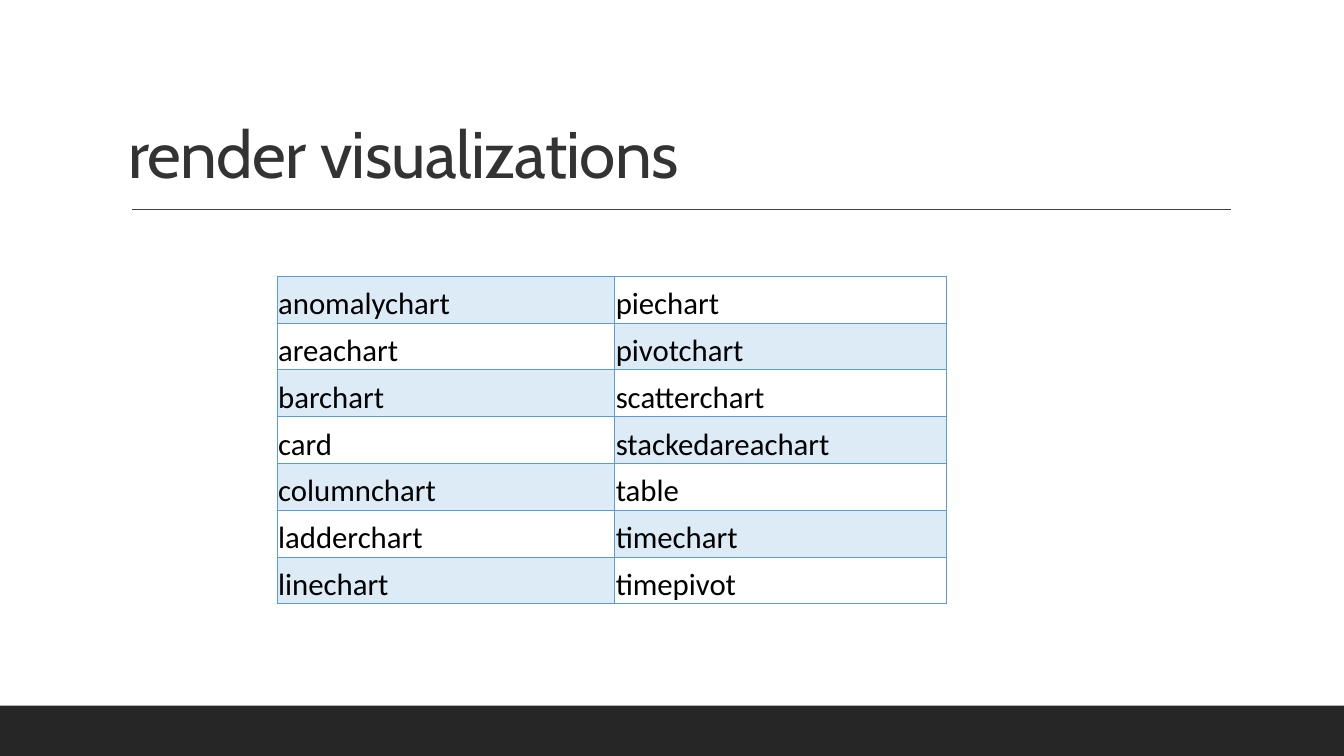
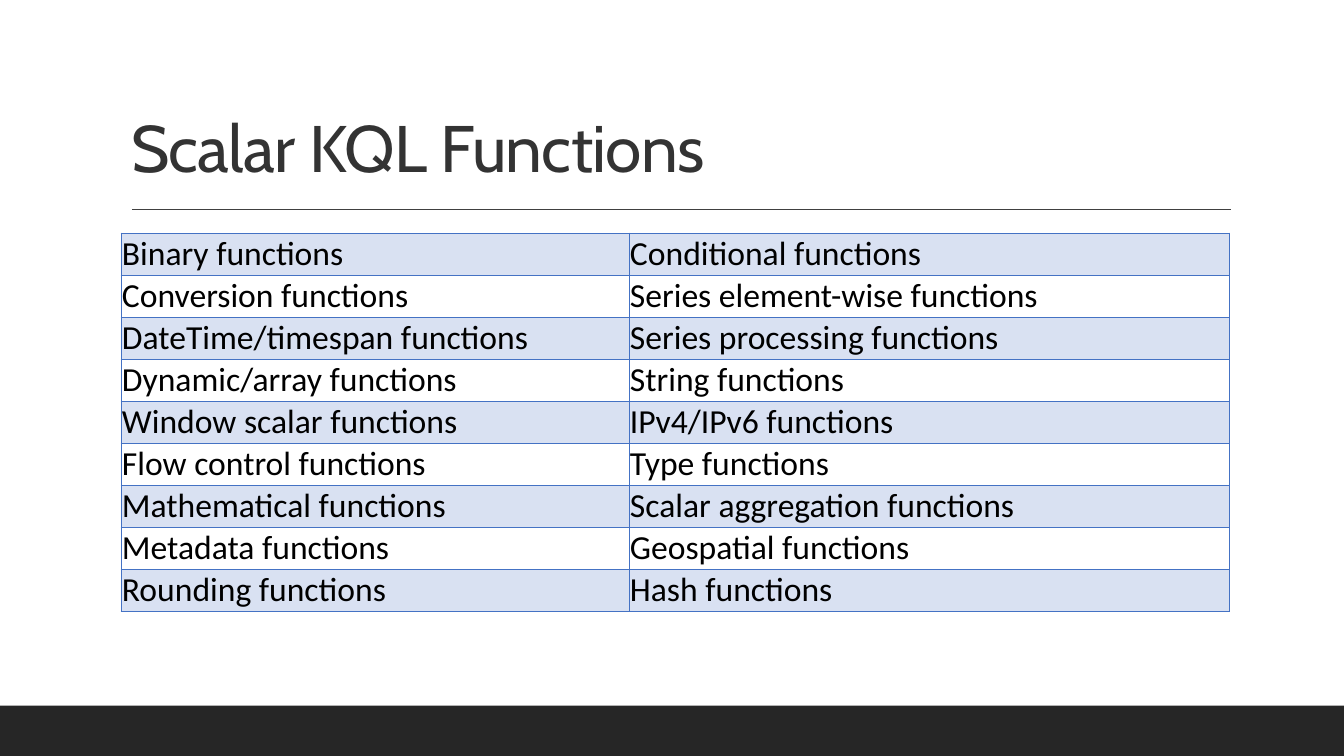
import pptx
import pptx.dml.color
import pptx.enum.shapes
import pptx.enum.text
import pptx.oxml
import pptx.oxml.ns
import pptx.util
from lxml import etree

TITLE_ONLY_LAYOUT = 5


def color(hex_string):
    return pptx.dml.color.RGBColor.from_string(hex_string)


def add_element(parent, tag, **attributes):
    return etree.SubElement(parent, pptx.oxml.ns.qn(tag), **attributes)


class Deck:
    """Style and current slide; lengths are on a grid of 100 columns by 100 rows."""

    title_font, body_font = "Cabin", "Calibri"
    title_color, text_color = "333333", "000000"
    band_color, rule_color = "262626", "404040"
    title_size = 47
    border_width = 0.5

    def __init__(self):
        self.presentation = pptx.Presentation()
        self.presentation.slide_width = pptx.util.Inches(13.33)
        self.presentation.slide_height = pptx.util.Inches(7.5)
        self.slide = None

    def columns(self, count):
        return round(self.presentation.slide_width * count / 100)

    def rows(self, count):
        return round(self.presentation.slide_height * count / 100)

    def add_slide(self):
        layout = self.presentation.slide_layouts[TITLE_ONLY_LAYOUT]
        self.slide = self.presentation.slides.add_slide(layout)
        self.add_band(top=93.33)
        self.add_rule(left=9.82, right=91.58, top=27.73)

    def add_band(self, top):
        band = self.slide.shapes.add_shape(
            pptx.enum.shapes.MSO_SHAPE.RECTANGLE,
            0, self.rows(top), self.columns(100), self.rows(100 - top))
        band.shadow.inherit = False
        band.fill.solid()
        band.fill.fore_color.rgb = color(self.band_color)
        band.line.fill.background()

    def add_rule(self, left, right, top):
        rule = self.slide.shapes.add_connector(
            pptx.enum.shapes.MSO_CONNECTOR.STRAIGHT,
            self.columns(left), self.rows(top), self.columns(right), self.rows(top))
        rule.line.color.rgb = color(self.rule_color)
        rule.line.width = pptx.util.Pt(1)
        add_element(rule._element.spPr, "a:effectLst")

    def set_title(self, text, left, top, height, width=82.5):
        title = self.slide.shapes.title
        title.left, title.top = self.columns(left), self.rows(top)
        title.width, title.height = self.columns(width), self.rows(height)
        frame = title.text_frame
        frame.text = text
        frame.word_wrap = True
        frame.auto_size = pptx.enum.text.MSO_AUTO_SIZE.NONE
        frame.vertical_anchor = pptx.enum.text.MSO_ANCHOR.BOTTOM
        paragraph = frame.paragraphs[0]
        paragraph.alignment = pptx.enum.text.PP_ALIGN.LEFT
        paragraph.line_spacing = 0.9
        self.set_font(paragraph, self.title_font, self.title_size, self.title_color)
        paragraph.runs[0]._r.get_or_add_rPr().set("spc", "-50")

    def set_font(self, paragraph, name, size, hex_string):
        paragraph.font.name = name
        paragraph.font.size = pptx.util.Pt(size)
        paragraph.font.color.rgb = color(hex_string)

    def add_table(self, entries, left, top, widths, row_height, size,
                  border, fill, is_filled):
        """Add a table; is_filled(row, column) tells which cells are tinted."""
        table = self.slide.shapes.add_table(
            len(entries), len(widths), self.columns(left), self.rows(top),
            self.columns(sum(widths)), self.rows(row_height * len(entries))).table
        table.first_row = table.horz_banding = False
        for column, width in zip(table.columns, widths):
            column.width = self.columns(width)
        for row_index, texts in enumerate(entries):
            table.rows[row_index].height = self.rows(row_height)
            for column_index, text in enumerate(texts):
                cell = table.cell(row_index, column_index)
                self.format_cell(cell, text, size, border)
                if is_filled(row_index, column_index):
                    cell.fill.solid()
                    cell.fill.fore_color.rgb = color(fill)
                else:
                    cell.fill.background()

    def format_cell(self, cell, text, size, border):
        cell.text = text
        cell.margin_left = cell.margin_right = cell.margin_top = pptx.util.Inches(0.01)
        cell.margin_bottom = 0
        cell.vertical_anchor = pptx.enum.text.MSO_ANCHOR.BOTTOM
        self.set_font(cell.text_frame.paragraphs[0], self.body_font, size,
                      self.text_color)
        properties = cell._tc.get_or_add_tcPr()
        width = str(pptx.util.Pt(self.border_width))
        for side in ("a:lnL", "a:lnR", "a:lnT", "a:lnB"):
            line = add_element(properties, side, w=width)
            add_element(add_element(line, "a:solidFill"), "a:srgbClr", val=border)


VISUALIZATIONS = [
    ("anomalychart", "piechart"),
    ("areachart", "pivotchart"),
    ("barchart", "scatterchart"),
    ("card", "stackedareachart"),
    ("columnchart", "table"),
    ("ladderchart", "timechart"),
    ("linechart", "timepivot"),
]

SCALAR_FUNCTIONS = [
    ("Binary functions", "Conditional functions"),
    ("Conversion functions", "Series element-wise functions"),
    ("DateTime/timespan functions", "Series processing functions"),
    ("Dynamic/array functions", "String functions"),
    ("Window scalar functions", "IPv4/IPv6 functions"),
    ("Flow control functions", "Type functions"),
    ("Mathematical functions", "Scalar aggregation functions"),
    ("Metadata functions", "Geospatial functions"),
    ("Rounding functions", "Hash functions"),
]


def main():
    deck = Deck()

    deck.add_slide()
    deck.set_title("render visualizations", left=8.78, top=3.07, height=23.07)
    deck.add_table(VISUALIZATIONS, left=20.62, top=36.53, widths=(25.12, 24.7),
                   row_height=6.19, size=22, border="5B9BD5", fill="DDEBF7",
                   is_filled=lambda row, column: (row + column) % 2 == 0)

    deck.add_slide()
    deck.set_title("Scalar KQL Functions", left=9, top=4.13, height=21.2)
    deck.add_table(SCALAR_FUNCTIONS, left=9, top=30.8, widths=(37.8, 44.7),
                   row_height=5.5, size=24, border="4472C4", fill="D9E1F2",
                   is_filled=lambda row, column: row % 2 == 0)

    deck.presentation.save("out.pptx")


if __name__ == "__main__":
    main()
